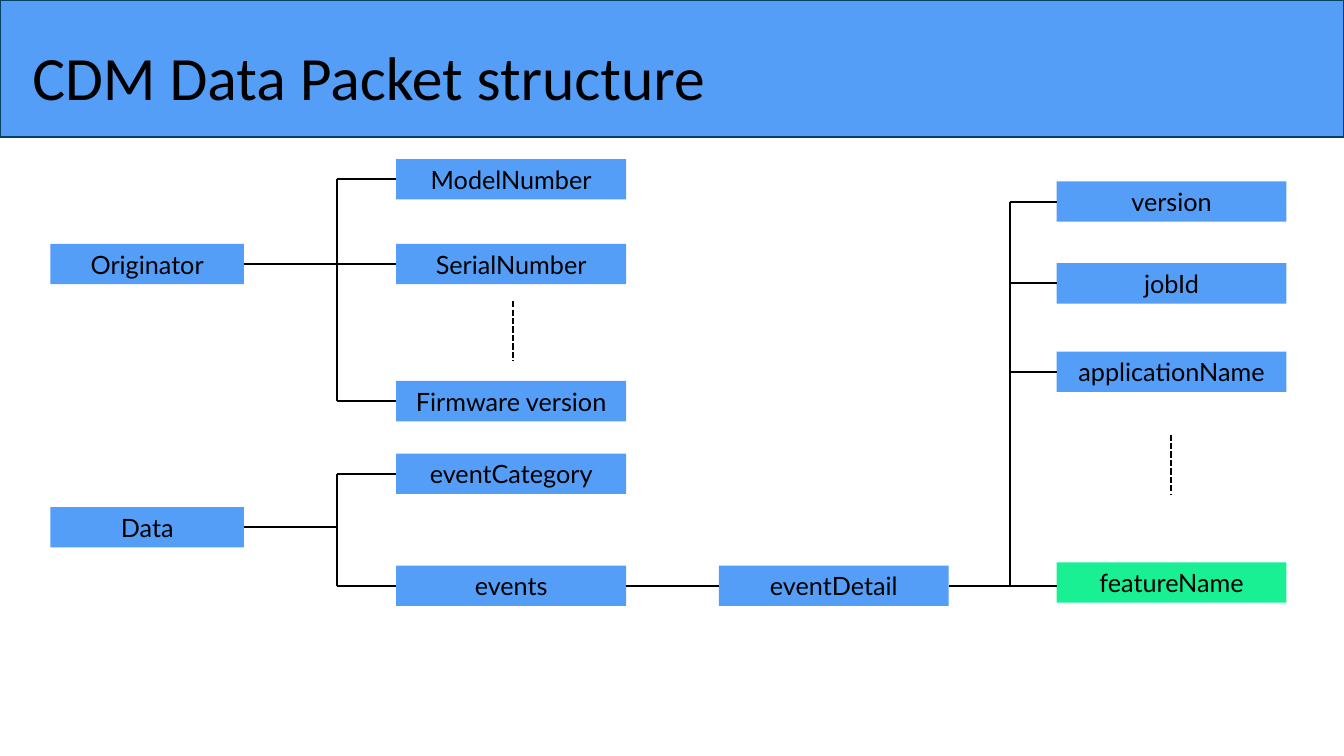
import dataclasses
import typing

import lxml.etree
import pptx
import pptx.dml.color
import pptx.enum.dml
import pptx.enum.shapes
import pptx.enum.text
import pptx.oxml.ns
import pptx.util

In = pptx.util.Inches
Pt = pptx.util.Pt
BLUE, GREEN, NAVY, BLACK = "549EF8", "19EF93", "00425E", "000000"
ROW = 0.4  # grid row, one box high


class Column(typing.NamedTuple):
    left: float
    width: float


ROOTS = Column(0.5, 1.92)
FIELDS = Column(3.93, 2.28)
DETAIL = Column(7.13, 2.28)
FEATURES = Column(10.48, 2.28)


@dataclasses.dataclass(frozen=True)
class Node:
    text: str
    column: Column
    row: float
    fill: str = BLUE

    @property
    def top(self) -> float:
        return self.row * ROW

    @property
    def middle(self) -> float:
        return self.top + ROW / 2


@dataclasses.dataclass(frozen=True)
class Branch:
    parent: Node
    trunk: float
    children: tuple[Node, ...]


# Tree content
originator = Node("Originator", ROOTS, 6.05)
data = Node("Data", ROOTS, 12.58)
events = Node("events", FIELDS, 14.03)
event_detail = Node("eventDetail", DETAIL, 14.03)
feature_name = Node("featureName", FEATURES, 13.95, GREEN)
BRANCHES = (
    Branch(originator, 3.34, (
        Node("ModelNumber", FIELDS, 3.95),
        Node("SerialNumber", FIELDS, 6.05),
        Node("Firmware version", FIELDS, 9.45))),
    Branch(data, 3.34, (Node("eventCategory", FIELDS, 11.25), events)),
    Branch(event_detail, 10.02, (
        Node("version", FEATURES, 4.5),
        Node("jobId", FEATURES, 6.53),
        Node("applicationName", FEATURES, 8.72))),
)
# Dashed marks for omitted fields: centre and starting row
ELLIPSES = ((5.09, 7.47), (11.61, 10.78))
ELLIPSIS_ROWS = 1.48


def rgb(value: str) -> pptx.dml.color.RGBColor:
    return pptx.dml.color.RGBColor.from_string(value)


def add_run(p, text: str, size: float, font: str) -> None:
    r = p.add_run()
    r.text = text
    r.font.size = Pt(size)
    r.font.name = font
    r.font.color.rgb = rgb(BLACK)


def add_rect(s, left: float, top: float, width: float, height: float, fill: str):
    sp = s.shapes.add_shape(pptx.enum.shapes.MSO_SHAPE.RECTANGLE,
                            In(left), In(top), In(width), In(height))
    sp.shadow.inherit = False
    sp.fill.solid()
    sp.fill.fore_color.rgb = rgb(fill)
    sp.line.fill.background()
    return sp


def add_node(s, node: Node):
    sp = add_rect(s, node.column.left, node.top, node.column.width, ROW, node.fill)
    tf = sp.text_frame
    tf.word_wrap = True
    tf.auto_size = pptx.enum.text.MSO_AUTO_SIZE.SHAPE_TO_FIT_TEXT
    p = tf.paragraphs[0]
    p.alignment = pptx.enum.text.PP_ALIGN.CENTER
    add_run(p, node.text, 18, "Lato")
    return sp


def add_line(s, x1: float, y1: float, x2: float, y2: float):
    line = s.shapes.add_connector(pptx.enum.shapes.MSO_CONNECTOR.STRAIGHT,
                                  In(x1), In(y1), In(x2), In(y2))
    line.line.color.rgb = rgb(BLACK)
    line.line.width = Pt(1.5)
    lxml.etree.SubElement(line._element.spPr, pptx.oxml.ns.qn("a:effectLst"))
    return line


def add_branch(s, branch: Branch, boxes: dict) -> None:
    parent, trunk = branch.parent, branch.trunk
    right = parent.column.left + parent.column.width
    stem = add_line(s, right, parent.middle, trunk, parent.middle)
    stem.begin_connect(boxes[parent], 3)
    heights = [node.middle for node in (parent, *branch.children)]
    add_line(s, trunk, min(heights), trunk, max(heights))
    for child in branch.children:
        twig = add_line(s, trunk, child.middle, child.column.left, child.middle)
        twig.end_connect(boxes[child], 1)


def add_title(s, width: float) -> None:
    band = add_rect(s, 0, 0, width, 1.36, BLUE)
    band.line.color.rgb = rgb(NAVY)
    band.line.width = Pt(1)
    title = s.shapes.title
    title._element.addprevious(band._element)  # band lies behind the title
    title.left, title.top, title.width, title.height = map(In, (0.32, 0.09, 12.7, 1.45))
    tf = title.text_frame
    tf.word_wrap = True
    tf.margin_left = 0
    tf.vertical_anchor = pptx.enum.text.MSO_ANCHOR.MIDDLE
    p = tf.paragraphs[0]
    p.alignment = pptx.enum.text.PP_ALIGN.LEFT
    p.line_spacing = 0.85
    add_run(p, "CDM Data Packet structure", 44, "Calibri")


def main() -> None:
    prs = pptx.Presentation()
    prs.slide_width, prs.slide_height = In(13.33), In(7.5)
    s = prs.slides.add_slide(prs.slide_layouts[5])
    add_title(s, 13.33)

    # Boxes
    nodes = [node for b in BRANCHES for node in (b.parent, *b.children)]
    boxes = {node: add_node(s, node) for node in (*nodes, feature_name)}

    # Connections
    for branch in BRANCHES:
        add_branch(s, branch, boxes)
    link = add_line(s, FIELDS.left + FIELDS.width, events.middle,
                    DETAIL.left, event_detail.middle)
    link.begin_connect(boxes[events], 3)
    link.end_connect(boxes[event_detail], 1)
    add_line(s, BRANCHES[-1].trunk, event_detail.middle,
             FEATURES.left, event_detail.middle)

    # Omitted fields
    for x, row in ELLIPSES:
        dash = add_line(s, x, row * ROW, x, (row + ELLIPSIS_ROWS) * ROW)
        dash.line.dash_style = pptx.enum.dml.MSO_LINE.SQUARE_DOT

    prs.save("out.pptx")


if __name__ == "__main__":
    main()
